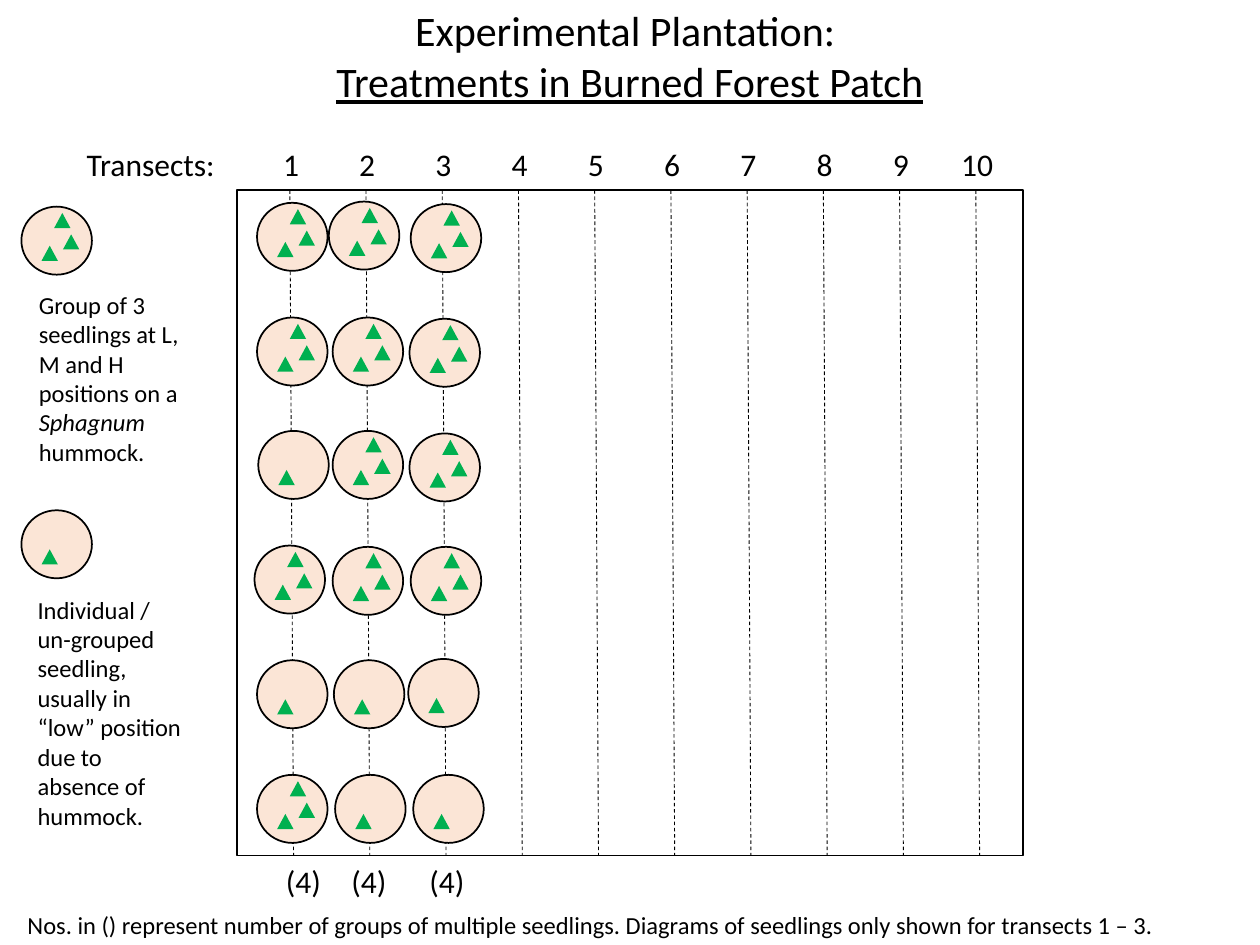
from dataclasses import dataclass

from lxml.etree import SubElement
from pptx import Presentation
from pptx.dml.color import RGBColor
from pptx.enum.dml import MSO_LINE
from pptx.enum.shapes import MSO_CONNECTOR, MSO_SHAPE
from pptx.enum.text import MSO_AUTO_SIZE, PP_ALIGN
from pptx.oxml.ns import qn
from pptx.util import Inches, Pt


@dataclass(frozen=True)
class Theme:
    font: str = "Calibri"
    ink: RGBColor = RGBColor(0x00, 0x00, 0x00)
    hummock: RGBColor = RGBColor(0xFB, 0xE5, 0xD6)
    seedling: RGBColor = RGBColor(0x00, 0xB0, 0x50)
    title: int = 24
    label: int = 18
    note: int = 14
    outline: float = 1
    transect: float = 0.5


class SlideBuilder:
    # Offsets of the L, H and M seedlings from the hummock's top-left corner
    SEEDLINGS = [(0.16, 0.31), (0.26, 0.05), (0.33, 0.22)]

    def __init__(self, slide, theme):
        self.s = slide
        self.theme = theme

    def shape(self, kind, x, y, w, h, fill=None, outlined=True):
        sp = self.s.shapes.add_shape(kind, Inches(x), Inches(y), Inches(w), Inches(h))
        sp.shadow.inherit = False
        if fill is None:
            sp.fill.background()
        else:
            sp.fill.solid()
            sp.fill.fore_color.rgb = fill
        if outlined:
            sp.line.color.rgb = self.theme.ink
            sp.line.width = Pt(self.theme.outline)
        else:
            sp.line.fill.background()

    def dashed_line(self, x1, y1, x2, y2):
        line = self.s.shapes.add_connector(
            MSO_CONNECTOR.STRAIGHT, Inches(x1), Inches(y1), Inches(x2), Inches(y2))
        line.line.color.rgb = self.theme.ink
        line.line.width = Pt(self.theme.transect)
        line.line.dash_style = MSO_LINE.DASH
        SubElement(line._element.spPr, qn("a:effectLst"))

    def text(self, paragraphs, x, y, w, h, size, align=PP_ALIGN.LEFT, wrap=False):
        """Add a text box; each paragraph is a list of runs. Return its paragraphs."""
        tf = self.s.shapes.add_textbox(Inches(x), Inches(y), Inches(w), Inches(h)).text_frame
        tf.word_wrap = wrap
        tf.auto_size = MSO_AUTO_SIZE.SHAPE_TO_FIT_TEXT
        for i, runs in enumerate(paragraphs):
            p = tf.add_paragraph() if i else tf.paragraphs[0]
            for run in runs:
                p.add_run().text = run
            p.alignment = align
            p.font.name = self.theme.font
            p.font.size = Pt(size)
            p.font.color.rgb = self.theme.ink
        return tf.paragraphs

    def hummock(self, x, y, count):
        self.shape(MSO_SHAPE.OVAL, x, y, 0.56, 0.54, self.theme.hummock)
        for dx, dy in self.SEEDLINGS[:count]:
            self.shape(MSO_SHAPE.ISOSCELES_TRIANGLE, x + dx, y + dy, 0.13, 0.12,
                       self.theme.seedling, outlined=False)


PLOT_X, PLOT_Y, PLOT_W, PLOT_H = 1.88, 1.51, 6.24, 5.28
PLOT_BOTTOM = PLOT_Y + PLOT_H
TRANSECTS = 10
TRANSECT_X, TRANSECT_GAP, TRANSECT_SLANT = 2.3, 0.605, 0.03

# Left, top and number of seedlings of each hummock, by transect
HUMMOCKS = {
    1: [(2.04, 1.61, 3), (2.04, 2.52, 3), (2.05, 3.42, 1),
        (2.02, 4.33, 3), (2.04, 5.24, 1), (2.04, 6.15, 3)],
    2: [(2.61, 1.6, 3), (2.64, 2.52, 3), (2.64, 3.42, 3),
        (2.64, 4.34, 3), (2.65, 5.24, 1), (2.66, 6.15, 1)],
    3: [(3.26, 1.62, 3), (3.25, 2.53, 3), (3.25, 3.44, 3),
        (3.26, 4.34, 3), (3.24, 5.23, 1), (3.28, 6.15, 1)],
}
GROUP_COUNT_X = {1: 2.17, 2: 2.69, 3: 3.31}


def add_plot(b):
    label = b.theme.label
    b.shape(MSO_SHAPE.RECTANGLE, PLOT_X, PLOT_Y, PLOT_W, PLOT_H)
    b.text([["Transects:"]], 0.59, 1.1, 1.23, 0.4, label)
    for i in range(TRANSECTS):
        x = TRANSECT_X + i * TRANSECT_GAP
        b.dashed_line(x, PLOT_Y, x + TRANSECT_SLANT, PLOT_BOTTOM)
        number = str(i + 1)
        w = 0.2 + 0.13 * len(number)
        b.text([[number]], x + 0.01 - w / 2, 1.1, w, 0.4, label, PP_ALIGN.CENTER)
    for transect, hummocks in HUMMOCKS.items():
        for x, y, count in hummocks:
            b.hummock(x, y, count)
        groups = sum(count > 1 for _, _, count in hummocks)
        b.text([[f"({groups})"]], GROUP_COUNT_X[transect], PLOT_BOTTOM, 0.48, 0.4, label)


def add_legend(b):
    note = b.theme.note
    b.hummock(0.17, 1.64, 3)
    grouped = b.text(
        [["Group of 3"], ["seedlings at L, M and H positions on a"], ["Sphagnum", " hummock."]],
        0.21, 2.25, 1.37, 1.51, note, wrap=True)
    grouped[-1].runs[0].font.italic = True
    b.hummock(0.17, 4.05, 1)
    b.text(
        [["Individual / un-grouped"],
         ["seedling, usually in “low” position due to absence of hummock."]],
        0.2, 4.67, 1.37, 1.99, note, wrap=True)
    b.text(
        [["Nos. in () represent number of groups of multiple seedlings. "
          "Diagrams of seedlings only shown for transects 1 – 3."]],
        0.12, 7.17, 9.14, 0.34, note)


def main():
    prs = Presentation()
    prs.slide_width, prs.slide_height = Inches(10), Inches(7.5)
    b = SlideBuilder(prs.slides.add_slide(prs.slide_layouts[6]), Theme())
    title = b.text(
        [["Experimental Plantation: "], ["Treatments in Burned Forest Patch"]],
        0, -0.01, 10, 0.91, b.theme.title, PP_ALIGN.CENTER, wrap=True)
    title[1].font.underline = True
    add_plot(b)
    add_legend(b)
    prs.save("out.pptx")


if __name__ == "__main__":
    main()
